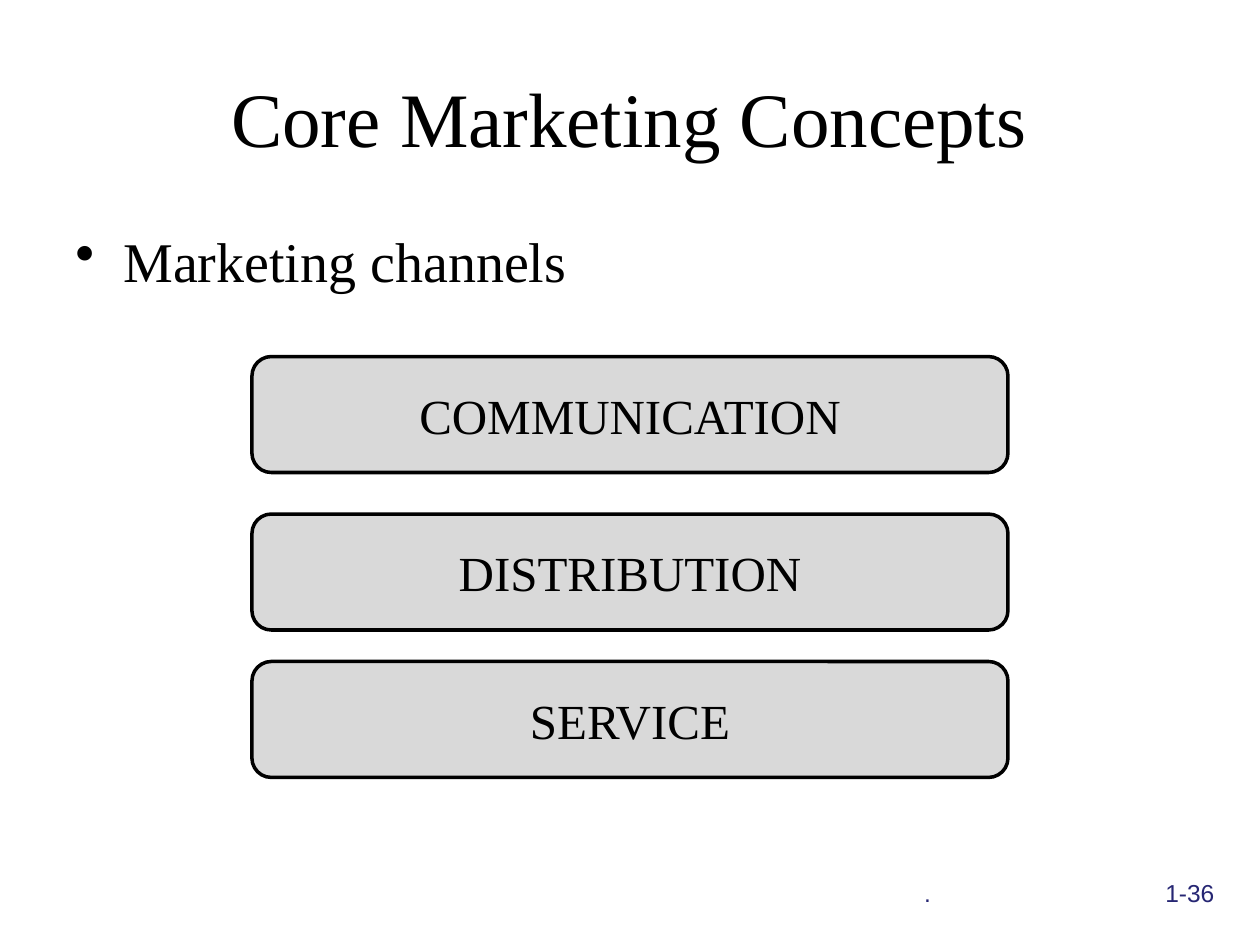
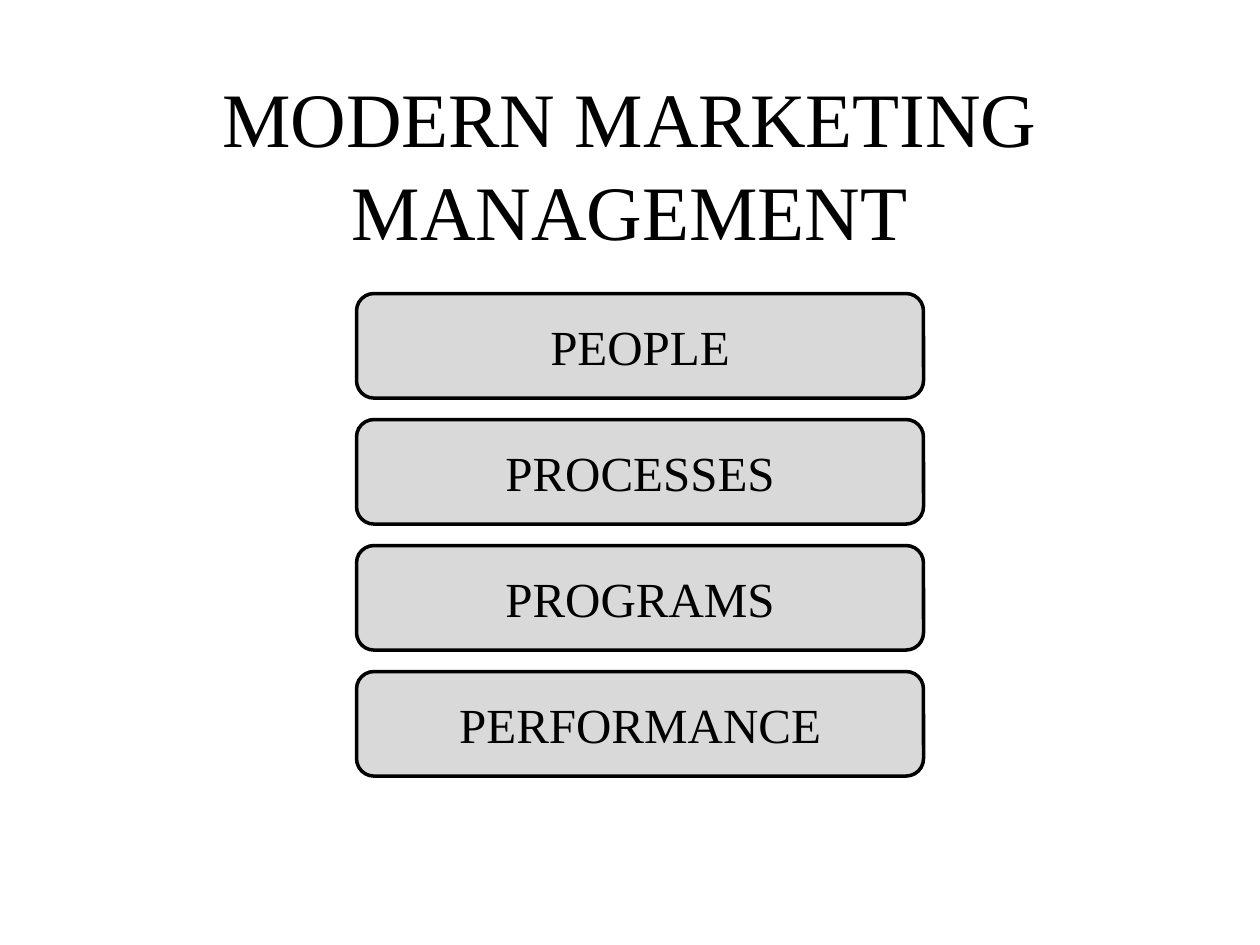
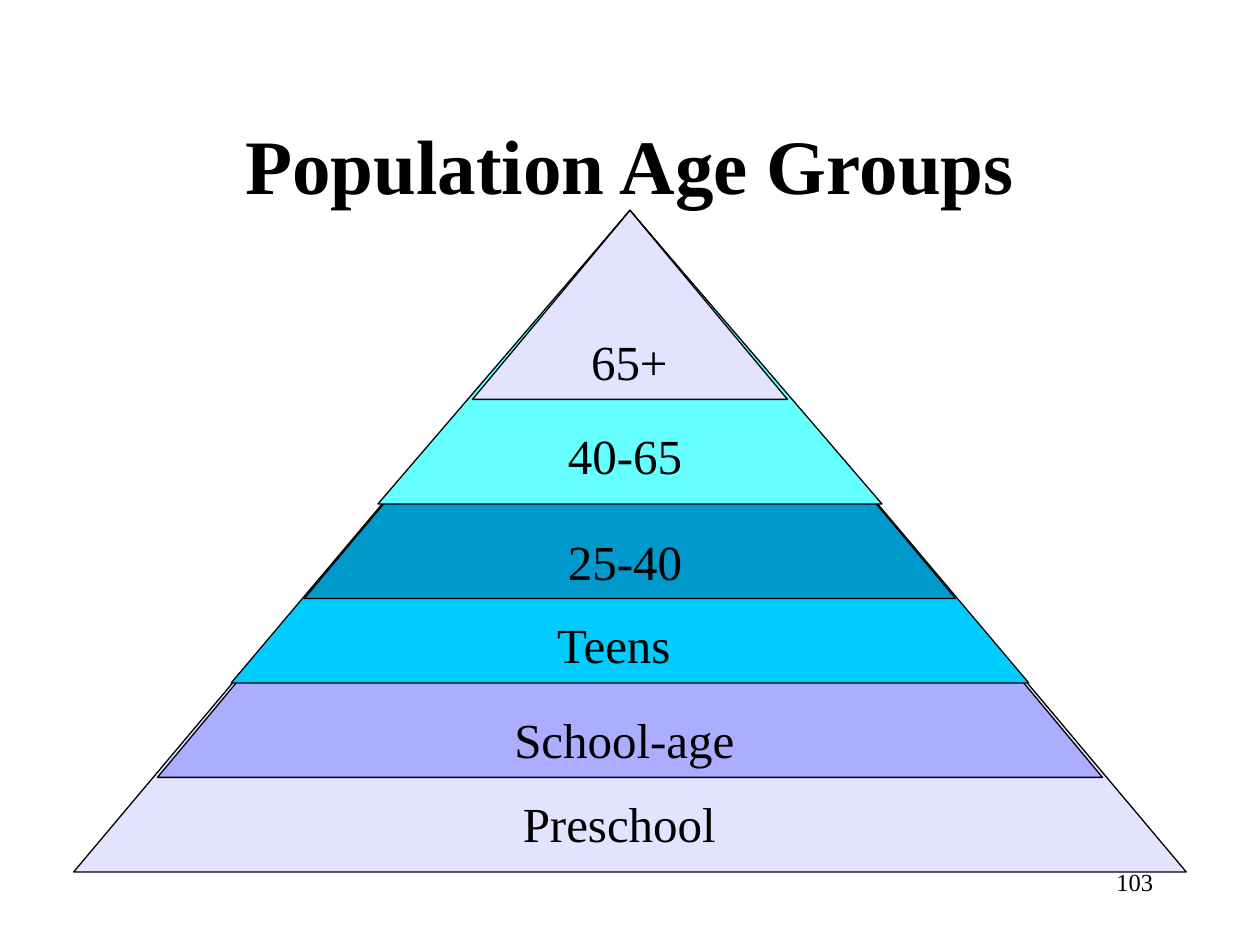
from lxml.etree import SubElement
from pptx import Presentation
from pptx.dml.color import RGBColor
from pptx.enum.shapes import MSO_SHAPE
from pptx.enum.text import MSO_ANCHOR, PP_ALIGN
from pptx.oxml.ns import qn
from pptx.util import Inches, Pt

BLACK = RGBColor(0x00, 0x00, 0x00)
GREY = RGBColor(0xD9, 0xD9, 0xD9)
NAVY = RGBColor(0x26, 0x26, 0x73)
LAVENDER = RGBColor(0xE3, 0xE3, 0xFF)
PERIWINKLE = RGBColor(0xAD, 0xAD, 0xFF)
SKY = RGBColor(0x00, 0xCC, 0xFF)
OCEAN = RGBColor(0x00, 0x99, 0xCC)
AQUA = RGBColor(0x66, 0xFF, 0xFF)

SERIF = "Times New Roman"
SANS = "Arial"
TITLE_BOX = (0.75, 0.67, 8.5, 1.25)

# Colour, width and height of each triangle; label with its left, top and width
AGE_TIERS = [
    (LAVENDER, 8.83, 5.25, "Preschool", 3, 6.25, 3.83),
    (PERIWINKLE, 7.5, 4.5, "School-age", 3.58, 5.58, 2.75),
    (SKY, 6.33, 3.75, "Teens ", 3.42, 4.83, 3),
    (OCEAN, 5.17, 3.08, "25-40", 3.17, 4.17, 3.58),
    (AQUA, 4, 2.33, "40-65", 3.67, 3.33, 2.58),
    (LAVENDER, 2.5, 1.5, "65+", 4.33, 2.58, 1.33),
]


def style_font(paragraph, size, color=BLACK, name=SERIF, bold=False):
    font = paragraph.font
    font.name = name
    font.size = Pt(size)
    font.bold = bold
    font.color.rgb = color


def add_text(slide, box, text, align=PP_ALIGN.CENTER, anchor=MSO_ANCHOR.TOP):
    """Add a wrapped one-paragraph text box and return its paragraph."""
    frame = slide.shapes.add_textbox(*map(Inches, box)).text_frame
    frame.word_wrap = True
    frame.vertical_anchor = anchor
    paragraph = frame.paragraphs[0]
    paragraph.text = text
    paragraph.alignment = align
    return paragraph


def add_title(slide, text, box=TITLE_BOX, bold=False):
    paragraph = add_text(slide, box, text, anchor=MSO_ANCHOR.MIDDLE)
    style_font(paragraph, 44, bold=bold)


def add_bullet(slide, box, text):
    paragraph = add_text(slide, box, text, PP_ALIGN.LEFT)
    properties = paragraph._p.get_or_add_pPr()
    properties.set("marL", str(Inches(0.38)))
    properties.set("indent", str(-Inches(0.38)))
    SubElement(properties, qn("a:buChar"), char="•")
    style_font(paragraph, 32)


def add_footer(slide, box, text, tab_stops):
    """Place the tab-separated parts of the footer at right-aligned stops."""
    paragraph = add_text(slide, box, text, PP_ALIGN.LEFT)
    tabs = SubElement(paragraph._p.get_or_add_pPr(), qn("a:tabLst"))
    for stop in tab_stops:
        SubElement(tabs, qn("a:tab"), pos=str(Inches(stop)), algn="r")
    style_font(paragraph, 14, NAVY, SANS)


def add_shape(slide, kind, box, fill, line_width):
    shape = slide.shapes.add_shape(kind, *map(Inches, box))
    shape.shadow.inherit = False
    shape.fill.solid()
    shape.fill.fore_color.rgb = fill
    shape.line.color.rgb = BLACK
    shape.line.width = Pt(line_width)
    return shape


def add_card(slide, box, text):
    card = add_shape(slide, MSO_SHAPE.ROUNDED_RECTANGLE, box, GREY, 2)
    frame = card.text_frame
    frame.word_wrap = True
    frame.vertical_anchor = MSO_ANCHOR.MIDDLE
    paragraph = frame.paragraphs[0]
    paragraph.text = text
    paragraph.alignment = PP_ALIGN.CENTER
    style_font(paragraph, 28)


def add_pyramid(slide, center, apex, tiers):
    """Stack triangles that share an apex, then put the labels on top."""
    for color, width, height, *_ in tiers:
        box = (center - width / 2, apex, width, height)
        add_shape(slide, MSO_SHAPE.ISOSCELES_TRIANGLE, box, color, 0.75)
    for *_, label, left, top, width in tiers:
        style_font(add_text(slide, (left, top, width, 0.57), label), 28)


def build_channels(slide):
    add_title(slide, "Core Marketing Concepts", (0.33, 0.3, 9.33, 1.25))
    add_bullet(slide, (0.5, 1.75, 9, 0.75), "Marketing channels")
    cards = {"COMMUNICATION": 2.83, "DISTRIBUTION": 4.08, "SERVICE": 5.25}
    for text, top in cards.items():
        add_card(slide, (2, top, 6, 0.92), text)
    add_footer(slide, (0.42, 6.92, 9.33, 0.52), "\t.\t1-36", (6.87, 9.12))


def build_management(slide):
    add_title(slide, "MODERN MARKETING MANAGEMENT")
    cards = ["PEOPLE", "PROCESSES", "PROGRAMS", "PERFORMANCE"]
    for row, text in enumerate(cards):
        add_card(slide, (2.83, 2.33 + row, 4.5, 0.83), text)


def build_age_groups(slide):
    add_title(slide, "Population Age Groups", bold=True)
    add_pyramid(slide, 5, 1.67, AGE_TIERS)
    number = add_text(slide, (7.17, 6.83, 2.08, 0.5), "103", PP_ALIGN.RIGHT)
    style_font(number, 14)


def main():
    presentation = Presentation()
    presentation.slide_width = Inches(10)
    presentation.slide_height = Inches(7.5)
    blank = presentation.slide_layouts[6]
    for build in (build_channels, build_management, build_age_groups):
        build(presentation.slides.add_slide(blank))
    presentation.save("out.pptx")


if __name__ == "__main__":
    main()
